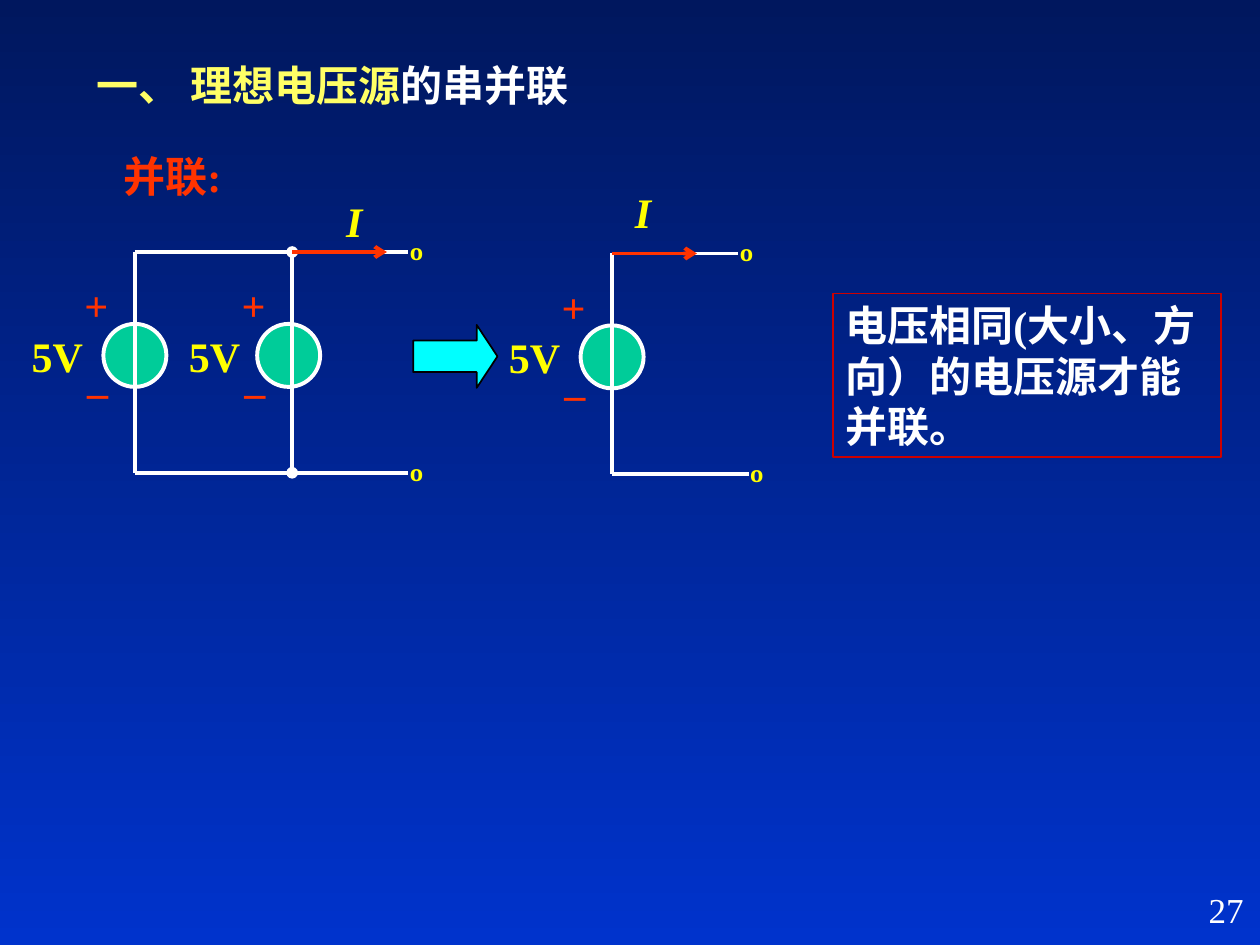
import pptx
import pptx.dml.color
import pptx.enum.shapes
import pptx.enum.text
import pptx.oxml
import pptx.oxml.ns
import pptx.util

Cm = pptx.util.Cm
Pt = pptx.util.Pt
SHAPE = pptx.enum.shapes.MSO_SHAPE
ALIGN = pptx.enum.text.PP_ALIGN
ANCHOR = pptx.enum.text.MSO_ANCHOR

WHITE, YELLOW, RED = "FFFFFF", "FFFF00", "FF3300"
ROW = 1.27


def color(hex_code):
    """Turn a hex string into a colour."""
    return pptx.dml.color.RGBColor.from_string(hex_code)


def place(item, left, top, width, height):
    """Set position and size in centimetres."""
    item.left, item.top = Cm(left), Cm(top)
    item.width, item.height = Cm(width), Cm(height)


def write(item, runs, align=ALIGN.LEFT, size=24, bold=True, italic=False, wrap=True):
    """Write (text, colour) runs into the first paragraph of an item."""
    frame = item.text_frame
    frame.word_wrap = wrap
    frame.vertical_anchor = ANCHOR.MIDDLE
    paragraph = frame.paragraphs[0]
    paragraph.alignment = align
    for text, hex_code in runs:
        run = paragraph.add_run()
        run.text = text
        run.font.name = "Times New Roman"
        run.font.size = Pt(size)
        run.font.bold = bold
        run.font.italic = italic
        run.font.color.rgb = color(hex_code)


def add_label(slide, text, hex_code, left, top, width, **style):
    """Add a one-line text box with one run."""
    label = slide.shapes.add_textbox(Cm(left), Cm(top), Cm(width), Cm(ROW))
    write(label, [(text, hex_code)], **style)


def add_figure(slide, kind, left, top, width, height, line, fill=None, weight=1):
    """Add an outlined preset shape with optional fill."""
    figure = slide.shapes.add_shape(kind, Cm(left), Cm(top), Cm(width), Cm(height))
    figure.shadow.inherit = False
    if fill:
        figure.fill.solid()
        figure.fill.fore_color.rgb = color(fill)
    else:
        figure.fill.background()
    figure.line.color.rgb = color(line)
    figure.line.width = Pt(weight)
    return figure


def add_wire(slide, start, end, hex_code=WHITE, head=None, tail=None):
    """Add a straight wire with optional end marks."""
    wire = slide.shapes.add_connector(
        pptx.enum.shapes.MSO_CONNECTOR.STRAIGHT,
        Cm(start[0]), Cm(start[1]), Cm(end[0]), Cm(end[1]))
    wire.line.color.rgb = color(hex_code)
    wire.line.width = Pt(2.25)
    namespace = pptx.oxml.ns.nsdecls("a")
    outline = wire._element.spPr.find(pptx.oxml.ns.qn("a:ln"))
    for tag, mark in (("headEnd", head), ("tailEnd", tail)):
        if mark:
            outline.append(pptx.oxml.parse_xml(f'<a:{tag} {namespace} type="{mark}"/>'))
    wire._element.spPr.append(pptx.oxml.parse_xml(f"<a:effectLst {namespace}/>"))


def add_source(slide, x, top, bottom, shift=0, mark=None):
    """Add a 5V source on a vertical wire, its circle shifted sideways."""
    add_figure(slide, SHAPE.OVAL, x - ROW / 2 + shift, top + 1.45, ROW, ROW,
               WHITE, "00CC99", 2.25)
    add_label(slide, "+", RED, x - 1.27, top + 0.43, 0.99, align=ALIGN.CENTER, wrap=False)
    add_label(slide, "_", RED, x - 1.22, top + 1.88, 0.94, align=ALIGN.CENTER, wrap=False)
    add_label(slide, "5V", YELLOW, x - 2.33, top + 1.45, 2.11)
    add_wire(slide, (x, top), (x, bottom), head=mark, tail=mark)


def add_rail(slide, start, end, y):
    """Add a horizontal wire that ends in an open terminal."""
    add_wire(slide, (start, y), (end, y))
    add_label(slide, "º", YELLOW, end - 0.22, y - 0.48, 0.6, align=ALIGN.CENTER, wrap=False)


def add_current(slide, start, end, y, label_left, label_top):
    """Add a current arrow and its symbol."""
    add_wire(slide, (start, y), (end, y), RED, tail="arrow")
    add_label(slide, "I", YELLOW, label_left, label_top, 1.07, italic=True)


def add_parallel_circuit(slide):
    """Draw two equal sources in parallel."""
    first, second, top, bottom, end = 2.72, 5.89, 5.08, 9.53, 8.23
    add_source(slide, first, top, bottom)
    add_source(slide, second, top, bottom, shift=-0.07, mark="oval")
    add_rail(slide, first, end, top)
    add_rail(slide, first, end, bottom)
    add_current(slide, second, 7.8, top, 6.73, 3.81)


def add_equivalent_circuit(slide):
    """Draw the single equivalent source."""
    x, top, bottom = 12.34, 5.11, 9.55
    add_source(slide, x, top, bottom)
    add_rail(slide, x, 14.88, top)
    add_rail(slide, x, 15.09, bottom)
    add_current(slide, x, 14.05, top, 12.55, 3.63)


def paint_background(slide):
    """Fill the background with a vertical blue gradient."""
    fill = slide.background.fill
    fill.gradient()
    fill.gradient_angle = 270
    for stop, hex_code in zip(fill.gradient_stops, ("00175E", "0033CC")):
        stop.color.rgb = color(hex_code)


def main():
    """Build the slide and save it."""
    deck = pptx.Presentation()
    deck.slide_width, deck.slide_height = Cm(25.4), Cm(19.05)
    slide = deck.slides.add_slide(deck.slide_layouts[5])
    paint_background(slide)

    title = slide.shapes.title
    place(title, 1.7, 1.07, 12.32, ROW)
    write(title, [("一、 理想电压源", "FFFF66"), ("的串并联", WHITE)])
    add_label(slide, "并联:", RED, 2.24, 2.9, 2.69, wrap=False)

    add_parallel_circuit(slide)
    arrow = add_figure(slide, SHAPE.RIGHT_ARROW, 8.33, 6.55, 1.7, ROW, "000000", "00FFFF")
    arrow.adjustments[1] = 0.33
    add_equivalent_circuit(slide)

    condition = add_figure(slide, SHAPE.RECTANGLE, 16.79, 5.92, 7.82, 3.3, "CC0000")
    write(condition, [("电压相同(大小、方向）的电压源才能并联。", WHITE)])
    add_label(slide, "27", WHITE, 20.04, 17.7, 5.28, align=ALIGN.RIGHT, size=20, bold=False)

    deck.save("out.pptx")


if __name__ == "__main__":
    main()
